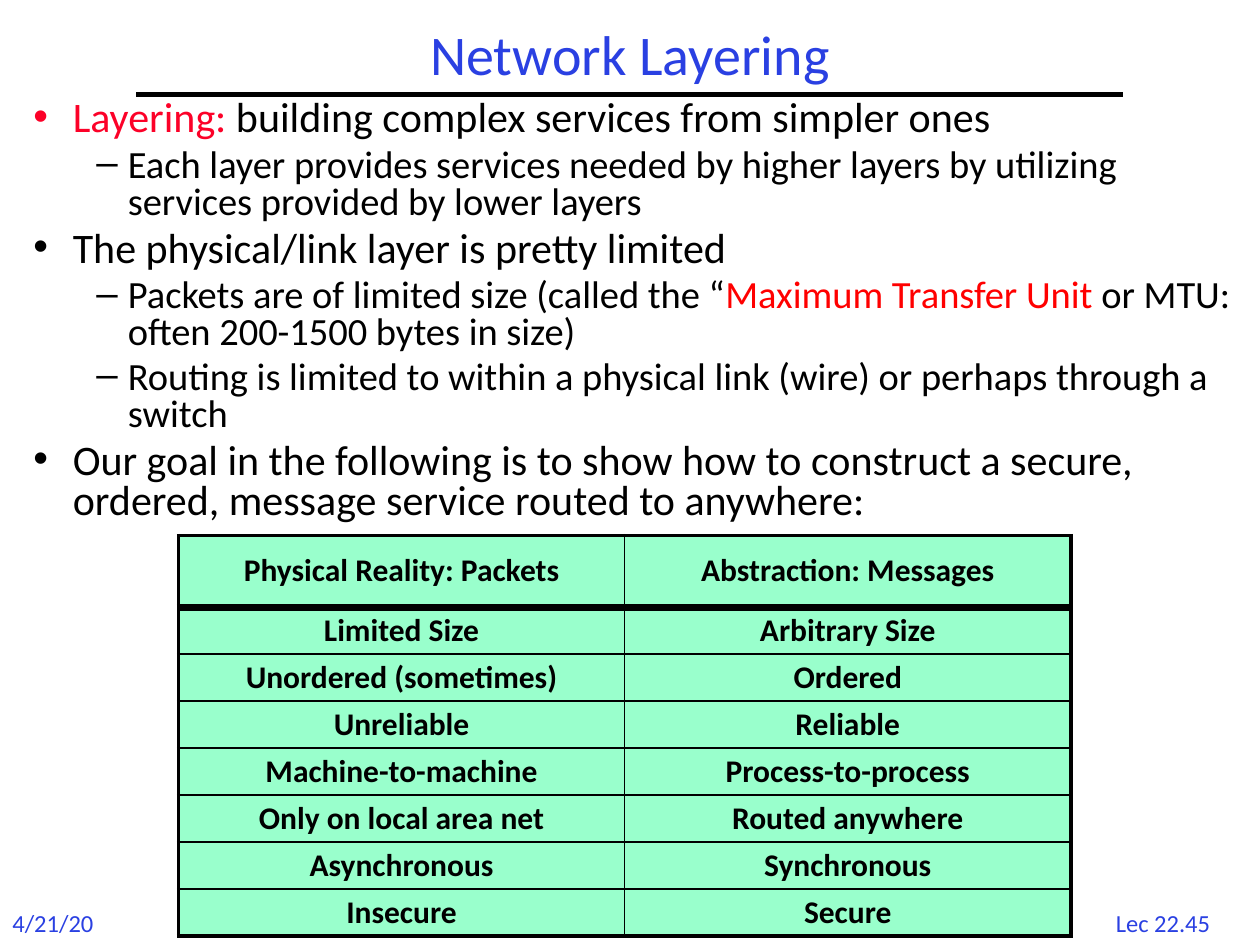
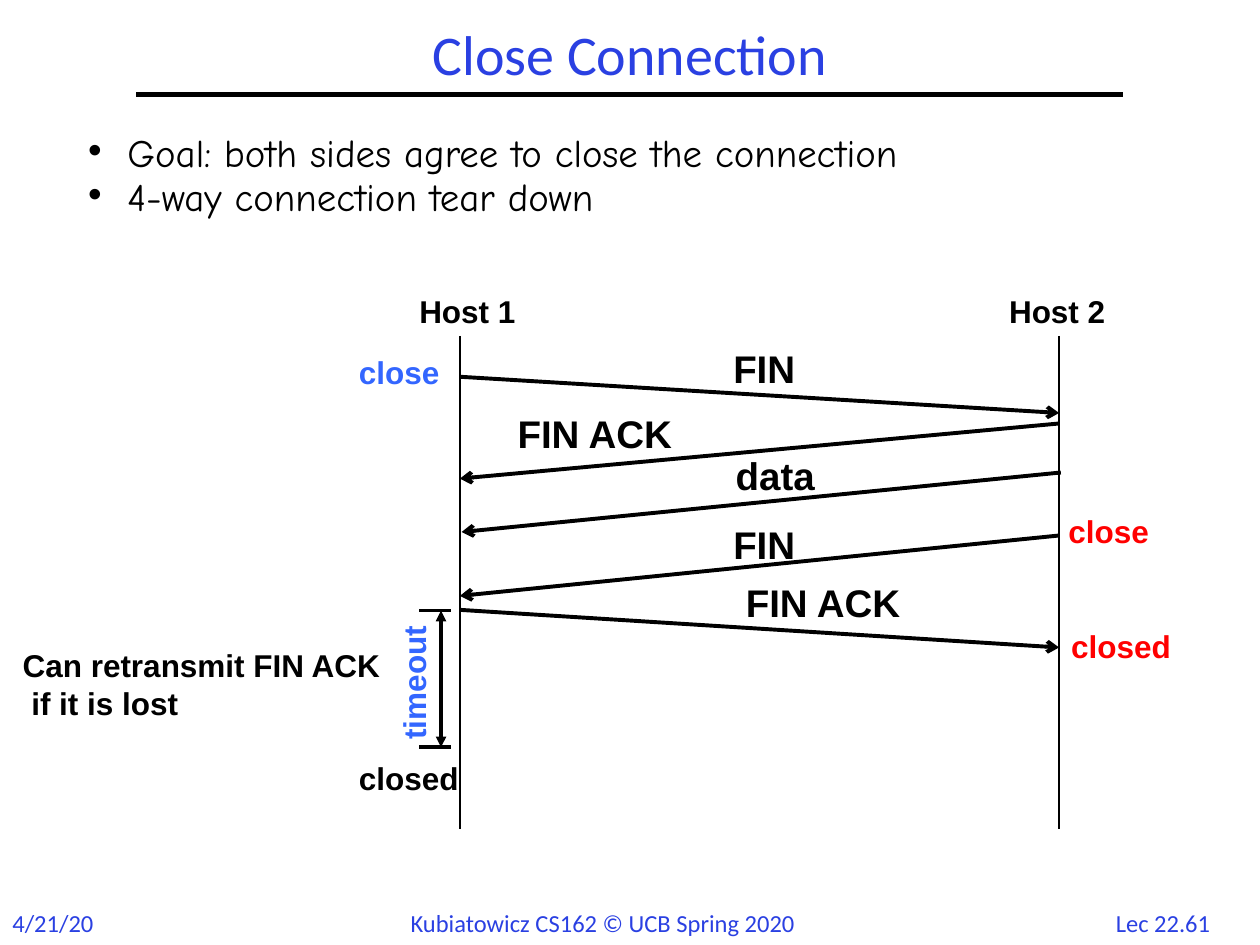
from lxml.etree import SubElement
from pptx import Presentation
from pptx.dml.color import RGBColor
from pptx.enum.shapes import MSO_CONNECTOR
from pptx.enum.text import MSO_ANCHOR, MSO_AUTO_SIZE, PP_ALIGN
from pptx.oxml.ns import qn
from pptx.util import Pt

COLORS = {
    "title": "2A40E2",
    "text": "000000",
    "term": "FC0128",
    "red": "FF0000",
    "blue": "3366FF",
    "cell": "99FFCC",
}
BODY_FONT = "Calibri"
DIAGRAM_FONT = "Arial"
HOST_1, HOST_2 = 262.8, 605.2


def rgb(name):
    return RGBColor.from_string(COLORS[name])


def write(para, text, size=18, font=BODY_FONT, color="text", bold=False,
          align=PP_ALIGN.LEFT, line=None, before=0, indent=0, hanging=0, bullet=None):
    properties = para._p.get_or_add_pPr()
    properties.set("marL", str(Pt(indent)))
    properties.set("indent", str(-Pt(hanging)))
    if bullet:
        SubElement(properties, qn("a:buFont"), typeface="Arial")
        SubElement(properties, qn("a:buChar"), char=bullet)
    para.alignment = align
    para.line_spacing = line
    para.space_before = Pt(before)
    spans = [(text, color)] if isinstance(text, str) else text
    for words, span_color in spans:
        span = para.add_run()
        span.text = words
        span.font.size = Pt(size)
        span.font.name = font
        span.font.bold = bold
        span.font.color.rgb = rgb(span_color)


def add_box(slide, left, top, width, height, wrap=False):
    box = slide.shapes.add_textbox(Pt(left), Pt(top), Pt(width), Pt(height))
    box.text_frame.word_wrap = wrap
    box.text_frame.auto_size = MSO_AUTO_SIZE.NONE if wrap else MSO_AUTO_SIZE.SHAPE_TO_FIT_TEXT
    return box


def add_label(slide, text, left, top, width, height=29, **style):
    box = add_box(slide, left, top, width, height)
    write(box.text_frame.paragraphs[0], text, **style)
    return box


def add_diagram_label(slide, text, left, top, width, height=29, **style):
    return add_label(slide, text, left, top, width, height,
                     font=DIAGRAM_FONT, bold=True, **style)


def add_paragraphs(box, items):
    for index, (text, style) in enumerate(items):
        frame = box.text_frame
        para = frame.paragraphs[0] if index == 0 else frame.add_paragraph()
        write(para, text, **(style if index else {**style, "before": 0}))


def add_line(slide, start, end, width, head=None, tail=None):
    line = slide.shapes.add_connector(MSO_CONNECTOR.STRAIGHT, *map(Pt, start + end))
    line.line.width = Pt(width)
    line.line.color.rgb = rgb("text")
    outline = line.line._get_or_add_ln()
    for tag, kind in (("a:headEnd", head), ("a:tailEnd", tail)):
        if kind:
            SubElement(outline, qn(tag), type=kind)
    SubElement(line._element.spPr, qn("a:effectLst"))


def add_message(slide, text, start, end, left, top, width):
    add_line(slide, start, end, 2.25, tail="arrow")
    box = add_diagram_label(slide, text, left, top, width, 33, size=22)
    frame = box.text_frame
    frame.margin_left = frame.margin_right = Pt(6.4)
    frame.margin_top = frame.margin_bottom = Pt(3.2)


def add_slide(deck, title, number, credit=None):
    slide = deck.slides.add_slide(deck.slide_layouts[6])
    footer = {"size": 14, "color": "title"}
    add_label(slide, number, 625.7, 515.5, 77.8, 24, align=PP_ALIGN.CENTER, **footer)
    add_label(slide, "4/21/20", 0, 515.5, 61, 24, **footer)
    if credit:
        add_label(slide, credit, 227.5, 515.5, 265, 24, **footer)
    add_line(slide, (78, 54), (642, 54), 3)
    box = add_box(slide, 78, 12, 564, 42, wrap=True)
    box.text_frame.vertical_anchor = MSO_ANCHOR.MIDDLE
    write(box.text_frame.paragraphs[0], title, size=32, color="title",
          align=PP_ALIGN.CENTER, line=0.9)
    return slide


def set_border(cell, side, width):
    border = SubElement(cell._tc.get_or_add_tcPr(), qn(f"a:ln{side}"), w=str(Pt(width)))
    fill = SubElement(border, qn("a:solidFill"))
    SubElement(fill, qn("a:srgbClr"), val=COLORS["text"])


def add_comparison(slide, rows):
    heights = [41] + [26.85] * (len(rows) - 1)
    table = slide.shapes.add_table(len(rows), 2, Pt(102), Pt(306), Pt(510),
                                   Pt(sum(heights))).table
    table.first_row = table.horz_banding = False
    last = len(rows) - 1
    for r, row in enumerate(rows):
        table.rows[r].height = Pt(heights[r])
        for c, text in enumerate(row):
            cell = table.cell(r, c)
            set_border(cell, "L", 1 if c else 2.25)
            set_border(cell, "R", 2.25 if c else 1)
            set_border(cell, "T", {0: 2.25, 1: 4.5}.get(r, 1))
            set_border(cell, "B", {0: 4.5, last: 2.25}.get(r, 1))
            cell.fill.solid()
            cell.fill.fore_color.rgb = rgb("cell")
            cell.vertical_anchor = MSO_ANCHOR.MIDDLE
            write(cell.text_frame.paragraphs[0], text, bold=True,
                  align=PP_ALIGN.CENTER, line=0.9)


def build_layering(deck):
    slide = add_slide(deck, "Network Layering", "Lec 22.45")
    point = {"size": 24, "line": 0.8, "before": 4.8, "indent": 22.5, "hanging": 22.5,
             "bullet": "•"}
    detail = {"size": 22, "line": 0.8, "before": 4.4, "indent": 54, "hanging": 18,
              "bullet": "–"}
    body = add_box(slide, 12, 54, 708, 450, wrap=True)
    add_paragraphs(body, [
        ([("Layering:", "term"), (" building complex services from simpler ones", "text")],
         point),
        ("Each layer provides services needed by higher layers by utilizing "
         "services provided by lower layers", detail),
        ("The physical/link layer is pretty limited", point),
        ([("Packets are of limited size (called the “", "text"),
          ("Maximum Transfer Unit ", "red"),
          ("or MTU: often 200-1500 bytes in size)", "text")], detail),
        ("Routing is limited to within a physical link (wire) or perhaps through a switch",
         detail),
        ("Our goal in the following is to show how to construct a secure, "
         "ordered, message service routed to anywhere:", point),
    ])
    add_comparison(slide, [
        ("Physical Reality: Packets", "Abstraction: Messages"),
        ("Limited Size", "Arbitrary Size"),
        ("Unordered (sometimes)", "Ordered"),
        ("Unreliable", "Reliable"),
        ("Machine-to-machine", "Process-to-process"),
        ("Only on local area net", "Routed anywhere"),
        ("Asynchronous", "Synchronous"),
        ("Insecure", "Secure"),
    ])


def build_close(deck):
    slide = add_slide(deck, "Close Connection", "Lec 22.61",
                      credit="Kubiatowicz CS162 © UCB Spring 2020")
    goal = {"size": 22.2, "font": "Comic Neue", "line": 0.7, "before": 6.7,
            "indent": 22.5, "hanging": 22.5, "bullet": "•"}
    body = add_box(slide, 43.2, 77, 564, 54, wrap=True)
    add_paragraphs(body, [
        ("Goal: both sides agree to close the connection", goal),
        ("4-way connection tear down", goal),
    ])

    messages = [
        ("FIN", HOST_1, 215.3, HOST_2, 236, 412.6, 193.7, 49),
        ("FIN ACK", HOST_2, 242, HOST_1, 273.5, 289.4, 231, 103),
        ("data", HOST_2 + 1, 270, HOST_1 + 1, 304, 414, 255, 59),
        ("FIN", HOST_2, 306, HOST_1, 340.5, 412.6, 294.3, 49),
        ("FIN ACK", HOST_1, 348.5, HOST_2, 370, 419.8, 327.5, 103),
    ]
    for text, x1, y1, x2, y2, left, top, width in messages:
        add_message(slide, text, (x1, y1), (x2, y2), left, top, width)
    for host in (HOST_1, HOST_2):
        add_line(slide, (host, 192), (host, 473.8), 1)

    labels = [
        ("Host 1", 232.5, 163.5, 70, "text"),
        ("Host 2", 569.5, 163.5, 70, "text"),
        ("close", 198, 198, 61, "blue"),
        ("closed", 198, 430, 72, "text"),
        ("close", 603.4, 289, 61, "red"),
        ("closed", 605, 355, 72, "red"),
    ]
    for text, left, top, width, color in labels:
        add_diagram_label(slide, text, left, top, width, color=color)

    note_style = {"font": DIAGRAM_FONT, "bold": True}
    note = add_box(slide, 5.8, 365.8, 229, 51)
    add_paragraphs(note, [
        ("Can retransmit FIN ACK", note_style),
        ("if it is lost", {**note_style, "indent": 5}),
    ])

    start, end = 349, 427
    for y in (start, end):
        add_line(slide, (239.5, y), (257.5, y), 2)
    add_line(slide, (252, end), (252, start), 2, head="triangle", tail="triangle")
    timeout = add_diagram_label(slide, "timeout", 195.8, 374.5, 81.4, color="blue")
    timeout.rotation = 270


def main():
    deck = Presentation()
    deck.slide_width, deck.slide_height = Pt(720), Pt(540)
    build_layering(deck)
    build_close(deck)
    deck.save("out.pptx")


if __name__ == "__main__":
    main()
